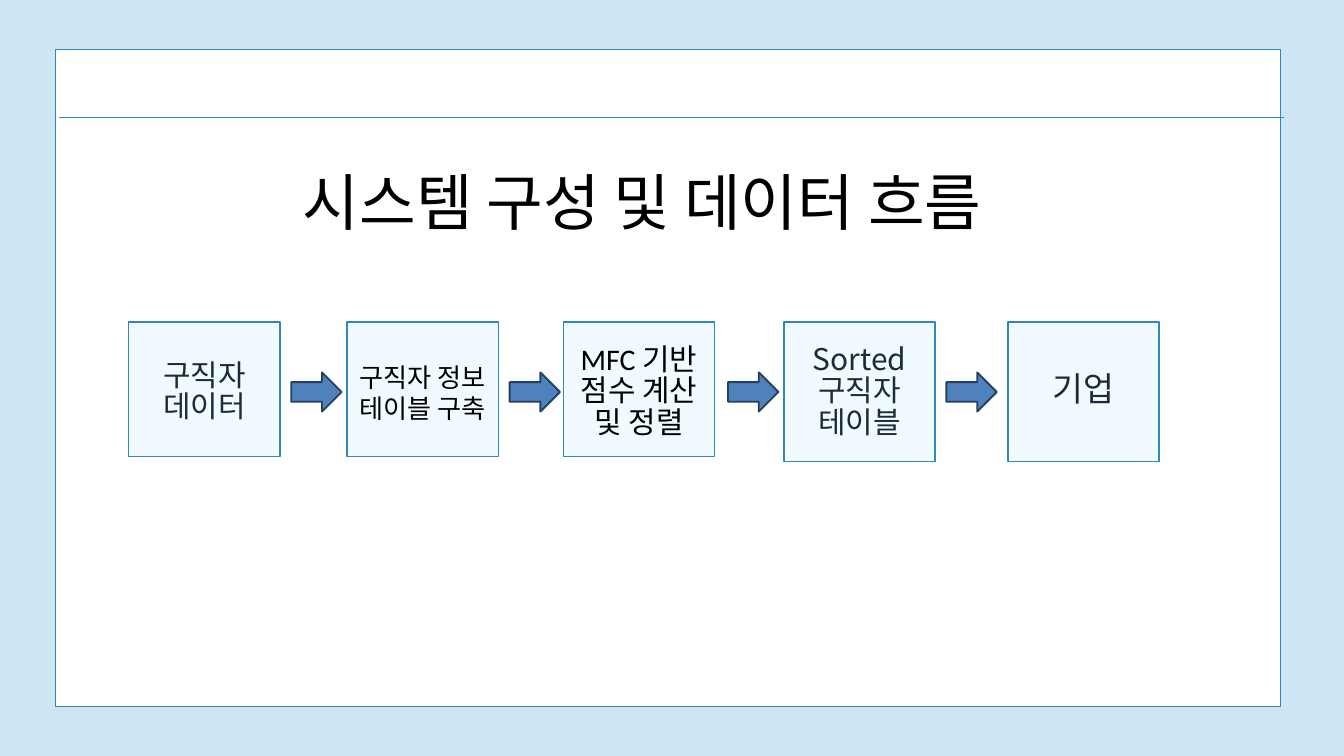
"""Build a slide showing the system layout and its data flow."""
from lxml import etree
from pptx import Presentation
from pptx import util as u
from pptx.dml.color import RGBColor
from pptx.enum import shapes, text
from pptx.oxml.ns import qn

PX = 9525
SKY = RGBColor(0xCE, 0xE6, 0xF4)
WHITE = RGBColor(0xFF, 0xFF, 0xFF)
PALE = RGBColor(0xF1, 0xFA, 0xFF)
EDGE = RGBColor(0x30, 0x87, 0xBB)
ARROW = RGBColor(0x4F, 0x81, 0xBD)
ARROW_EDGE = RGBColor(0x27, 0x40, 0x5E)
BLACK = RGBColor(0, 0, 0)
INK = RGBColor(0x1D, 0x2A, 0x3A)
LATIN, KOREAN = "Calibri", "Noto Sans CJK KR"

TITLE = "시스템 구성 및 데이터 흐름"
STEPS = [
    dict(label="구직자\v데이터", left=184, height=192, inset=16, lines=2,
         size=32, face=KOREAN, color=INK),
    dict(label="구직자 정보 테이블 구축", left=496, height=192, inset=10, lines=2,
         size=28, face=LATIN, color=BLACK),
    dict(label="MFC 기반 점수 계산 및 정렬", left=805, height=192, inset=18, lines=3,
         size=32, face=LATIN, color=BLACK),
    dict(label="Sorted\v구직자\v테이블", left=1120, height=199, inset=18, lines=3,
         size=32, face=KOREAN, color=INK),
    dict(label="기업", left=1440, height=199, inset=18, lines=1,
         size=36, face=KOREAN, color=INK),
]
STEP_TOP, STEP_WIDTH = 460, 216
LABEL_MIDDLE, LINE_HEIGHT = 562, 46
ARROW_LEFT, ARROW_PITCH, ARROW_TOP = 416, 312, 532


def px(*lengths):
    return [u.Emu(length * PX) for length in lengths]


def add_panel(page, kind, area, fill, edge, weight=1.5):
    panel = page.shapes.add_shape(kind, *px(*area))
    panel.shadow.inherit = False
    panel.fill.solid()
    panel.fill.fore_color.rgb = fill
    panel.line.color.rgb = edge
    panel.line.width = u.Pt(weight)


def add_text(page, content, *, area, size, face, color, spacing):
    box = page.shapes.add_textbox(*px(*area))
    frame = box.text_frame
    frame.word_wrap = True
    frame.margin_left = frame.margin_right = frame.margin_top = frame.margin_bottom = 0
    frame.auto_size = text.MSO_AUTO_SIZE.SHAPE_TO_FIT_TEXT
    para = frame.paragraphs[0]
    para.text = content
    para.alignment = text.PP_ALIGN.CENTER
    para.line_spacing = u.Pt(spacing)
    for span in para.runs:
        span.font.size = u.Pt(size)
        span.font.color.rgb = color
        span.font.name = face
        etree.SubElement(span.font._element, qn("a:ea"), typeface=face)


def add_rule(page, left, right, top):
    rule = page.shapes.add_connector(shapes.MSO_CONNECTOR.STRAIGHT, *px(left, top, right, top))
    rule.line.color.rgb = EDGE
    rule.line.width = u.Pt(1.5)
    etree.SubElement(rule._element.spPr, qn("a:effectLst"))


def add_step(page, step):
    left, inset = step["left"], step["inset"]
    area = (left, STEP_TOP, STEP_WIDTH, step["height"])
    add_panel(page, shapes.MSO_SHAPE.RECTANGLE, area, PALE, EDGE)
    height = step["lines"] * LINE_HEIGHT
    add_text(page, step["label"],
             area=(left + inset, LABEL_MIDDLE - height // 2, STEP_WIDTH - 2 * inset, height),
             size=step["size"], face=step["face"], color=step["color"], spacing=33.6)


def main():
    deck = Presentation()
    deck.slide_width, deck.slide_height = px(1920, 1080)
    page = deck.slides.add_slide(deck.slide_layouts[6])
    page.background.fill.solid()
    page.background.fill.fore_color.rgb = SKY

    add_panel(page, shapes.MSO_SHAPE.RECTANGLE, (79, 71, 1750, 938), WHITE, EDGE)
    add_rule(page, 85, 1835, 168)
    add_text(page, TITLE, area=(392, 221, 1051, 113), size=66, face=LATIN,
             color=BLACK, spacing=89.6)
    for step in STEPS:
        add_step(page, step)
    for index in range(len(STEPS) - 1):
        area = (ARROW_LEFT + index * ARROW_PITCH, ARROW_TOP, 72, 56)
        add_panel(page, shapes.MSO_SHAPE.RIGHT_ARROW, area, ARROW, ARROW_EDGE, weight=2)
    deck.save("out.pptx")


if __name__ == "__main__":
    main()
